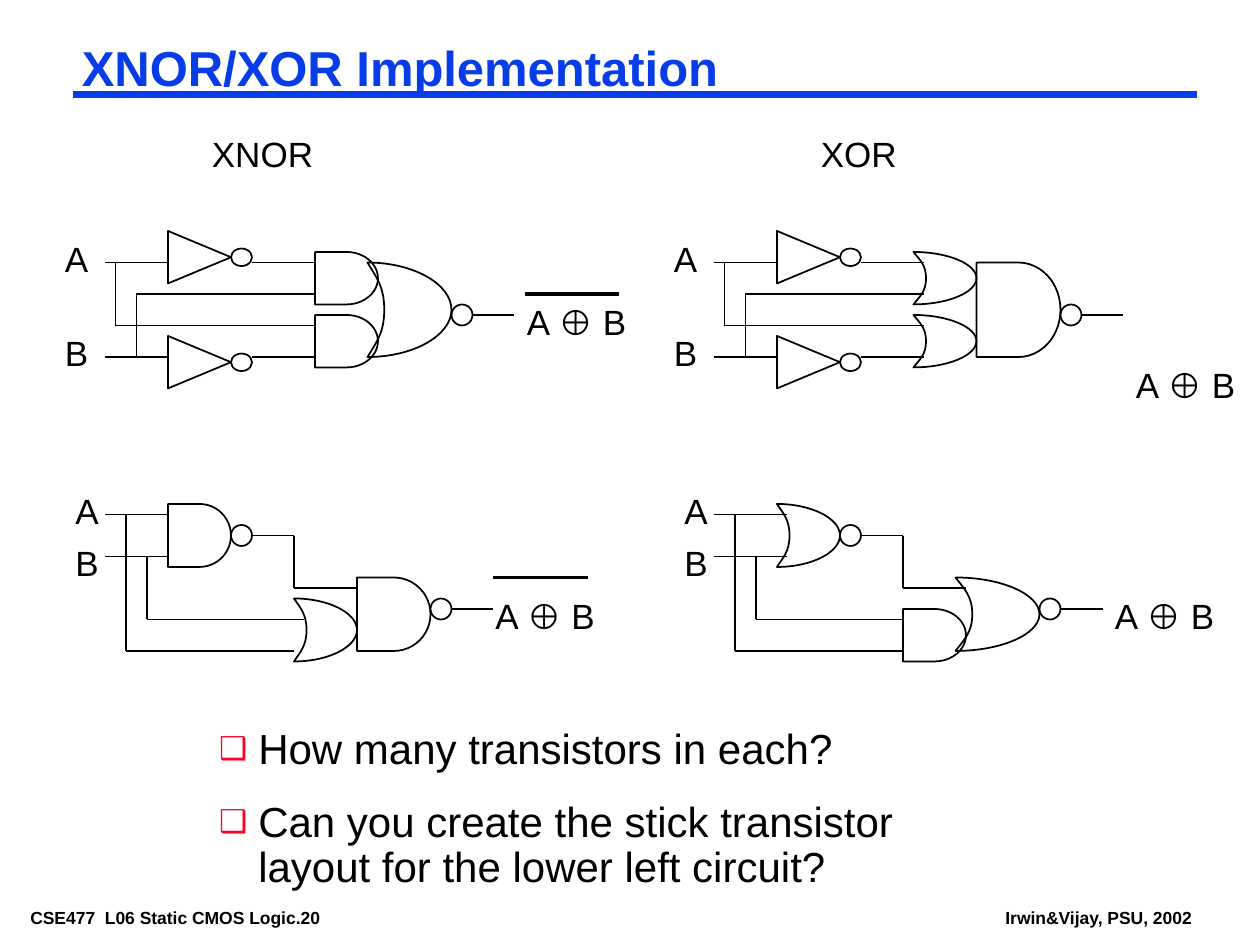
from lxml import etree
from pptx import Presentation
from pptx.dml.color import RGBColor
from pptx.enum.shapes import MSO_CONNECTOR, MSO_SHAPE
from pptx.oxml.ns import qn
from pptx.util import Inches, Pt

STRAIGHT = MSO_CONNECTOR.STRAIGHT
AND_SHAPE = MSO_SHAPE.FLOWCHART_DELAY
TRIANGLE = MSO_SHAPE.ISOSCELES_TRIANGLE
ELLIPSE = MSO_SHAPE.OVAL

FONT = "Arial"
BLACK, BLUE, RED = "000000", "063DE8", "FC0128"
STEP = 1 / 12  # drawing grid of the circuits, in inches

# Outline of an OR gate in a unit box from (0, 0): control, control, end
OR_CURVES = [
    ((0.1, 0.15), (0.2, 0.25), (0.2, 0.5)),
    ((0.2, 0.75), (0.1, 0.85), (0, 1)),
    ((0.55, 1), (1, 0.77), (1, 0.5)),
    ((1, 0.23), (0.55, 0), (0, 0)),
]


def color(hex_string):
    return RGBColor.from_string(hex_string)


def add_text(slide, text, left, top, width, height, size=20, bold=False,
             fill=BLACK, inset=(0.1, 0.05), wrap=True, spacing=None, bullet=None):
    shape = slide.shapes.add_textbox(Inches(left), Inches(top), Inches(width), Inches(height))
    frame = shape.text_frame
    frame.word_wrap = wrap
    frame.margin_left = frame.margin_right = Inches(inset[0])
    frame.margin_top = frame.margin_bottom = Inches(inset[1])
    paragraph = frame.paragraphs[0]
    paragraph.text = text
    if spacing:
        paragraph.line_spacing = spacing
    if bullet:
        properties = paragraph._p.get_or_add_pPr()
        properties.set("marL", str(Inches(0.31)))
        properties.set("indent", str(Inches(-0.31)))
        bullet_color = etree.SubElement(properties, qn("a:buClr"))
        etree.SubElement(bullet_color, qn("a:srgbClr"), val=RED)
        etree.SubElement(properties, qn("a:buSzPct"), val="75000")
        etree.SubElement(properties, qn("a:buFont"), typeface=FONT)
        etree.SubElement(properties, qn("a:buChar"), char=bullet)
    font = paragraph.font
    font.name, font.size, font.bold = FONT, Pt(size), bold
    font.color.rgb = color(fill)


def add_line(slide, x1, y1, x2, y2, width=1, stroke=BLACK):
    line = slide.shapes.add_connector(STRAIGHT, Inches(x1), Inches(y1), Inches(x2), Inches(y2))
    line.line.color.rgb = color(stroke)
    line.line.width = Pt(width)
    etree.SubElement(line._element.spPr, qn("a:effectLst"))


def outline(shape):
    shape.shadow.inherit = False
    shape.fill.background()
    shape.line.color.rgb = color(BLACK)
    shape.line.width = Pt(1)
    return shape


class Circuit:
    """Places parts in grid steps from the start of the input wires."""

    def __init__(self, slide, left, top):
        self.slide, self.left, self.top = slide, left, top

    def at(self, x, y):
        return self.left + x * STEP, self.top + y * STEP

    def wires(self, *segments, width=1):
        for x1, y1, x2, y2 in segments:
            add_line(self.slide, *self.at(x1, y1), *self.at(x2, y2), width=width)

    def preset(self, kind, x, y, width, height):
        left, top = self.at(x, y)
        return outline(self.slide.shapes.add_shape(
            kind, Inches(left), Inches(top), Inches(width * STEP), Inches(height * STEP)))

    def gate(self, kind, x, y, width, height):
        if kind == "AND":
            self.preset(AND_SHAPE, x, y, width, height)
            return
        ends = [self.at(x + px * width, y + py * height) for *_, (px, py) in OR_CURVES]
        builder = self.slide.shapes.build_freeform(*map(Inches, self.at(x, y)))
        builder.add_line_segments([(Inches(px), Inches(py)) for px, py in ends], close=True)
        shape = outline(builder.convert_to_shape())
        # Bend each straight side into its curve
        sides = list(shape._element.iter(qn("a:lnTo")))
        for side, curve in zip(sides, OR_CURVES):
            side.tag = qn("a:cubicBezTo")
            for child in list(side):
                side.remove(child)
            for px, py in curve:
                etree.SubElement(side, qn("a:pt"), x=str(Inches(px * width * STEP)),
                                 y=str(Inches(py * height * STEP)))

    def bubble(self, x, y, height=2):
        self.preset(ELLIPSE, x, y, 2, height)

    def inverter(self, y):
        # Triangle turned to point right, in a box 6 wide and 5 high
        self.preset(TRIANGLE, 6.5, y - 0.5, 5, 6).rotation = 90
        self.bubble(12, y + 1.67, height=1.67)

    def label(self, text, x, y, width=0.39):
        add_text(self.slide, text, *self.at(x, y), width, 0.44)

    def output(self, x, y, bar=None):
        self.label("A ⊕ B", x, y, width=1.08)
        if bar is not None:
            self.wires((x + 1, bar, x + 10, bar), width=2.25)


def inverter_circuit(slide, left, top, heading, first, first_x, last, output_y, bar=None):
    circuit = Circuit(slide, left, top)
    circuit.label(heading, 9, -12, width=1.17)
    for name, y, inverter_y in (("A", 1, -2), ("B", 10, 8)):
        circuit.label(name, -5, y - 3)
        circuit.wires((0, y, 6, y), (14, y, 20, y))
        circuit.inverter(inverter_y)
    # Crossed inputs
    circuit.wires((3, 4, 20, 4), (3, 4, 3, 10), (1, 1, 1, 7), (1, 7, 4, 7), (4, 7, 20, 7))
    # Gates and output
    for y in (0, 6):
        circuit.gate(first, first_x, y, 6, 5)
    circuit.gate(last, 25, 1, 8, 9)
    circuit.bubble(33, 5)
    circuit.wires((35, 6, 39, 6))
    circuit.output(39, output_y, bar)


def compact_circuit(slide, left, top, first, middle, last, input_end, branch_end, output_x, bar=None):
    circuit = Circuit(slide, left, top)
    # Inputs and first gate
    for name, label_y, y in (("A", -2, 1), ("B", 3, 5)):
        circuit.label(name, -4, label_y)
        circuit.wires((0, y, input_end, y))
    circuit.gate(first, 6, 0, 6, 6)
    circuit.bubble(12, 2)
    circuit.wires((14, 3, 18, 3), (18, 3, 18, 8), (18, 8, 24, 8))
    # Branches to the second gate
    circuit.wires((2, 1, 2, 4), (2, 4, 2, 7), (2, 6, 2, 14), (2, 14, 18, 14),
                  (4, 5, 4, 11), (4, 11, branch_end, 11))
    circuit.gate(*middle)
    circuit.gate(*last)
    circuit.bubble(31, 9)
    circuit.wires((33, 10, 37, 10))
    circuit.output(output_x, 8, bar)


def header_and_footer(slide):
    inset = (0.07, 0.03)
    for text, left, width in (("CSE477  L06 Static CMOS Logic.20", 0.17, 2.95),
                              ("Irwin&Vijay, PSU, 2002", 7.91, 1.63)):
        add_text(slide, text, left, 7.17, width, 0.22, size=10, bold=True, inset=inset, wrap=False)
    add_line(slide, 0.58, 0.75, 9.5, 0.75, width=4.5, stroke=BLUE)
    add_text(slide, "XNOR/XOR Implementation", 0.58, 0.33, 8.92, 0.46,
             size=28, bold=True, fill=BLUE, inset=inset, spacing=0.87)


def questions(slide, left, width):
    for text, top, height in (
            ("How many transistors in each?", 5.75, 0.42),
            ("Can you create the stick transistor layout for the lower left circuit?", 6.33, 0.78)):
        add_text(slide, text, left, top, width, height, size=24,
                 inset=(0.07, 0.03), spacing=0.9, bullet="❑")


def main():
    presentation = Presentation()
    presentation.slide_width, presentation.slide_height = Inches(10), Inches(7.5)
    slide = presentation.slides.add_slide(presentation.slide_layouts[6])
    header_and_footer(slide)
    xnor_left, xor_left = 10 * STEP, 68 * STEP
    inverter_circuit(slide, xnor_left, 2, "XNOR", "AND", 20, "OR", output_y=4, bar=4)
    inverter_circuit(slide, xor_left, 2, "XOR", "OR", 19, "AND", output_y=10)
    compact_circuit(slide, xnor_left, 4, "AND", ("OR", 18, 9, 6, 6), ("AND", 24, 7, 7, 7),
                    input_end=6, branch_end=19, output_x=36, bar=7)
    compact_circuit(slide, xor_left, 4, "OR", ("AND", 18, 10, 6, 5), ("OR", 23, 7, 8, 7),
                    input_end=7, branch_end=18, output_x=37)
    questions(slide, 1.67, 6.17)
    presentation.save("out.pptx")


if __name__ == "__main__":
    main()
